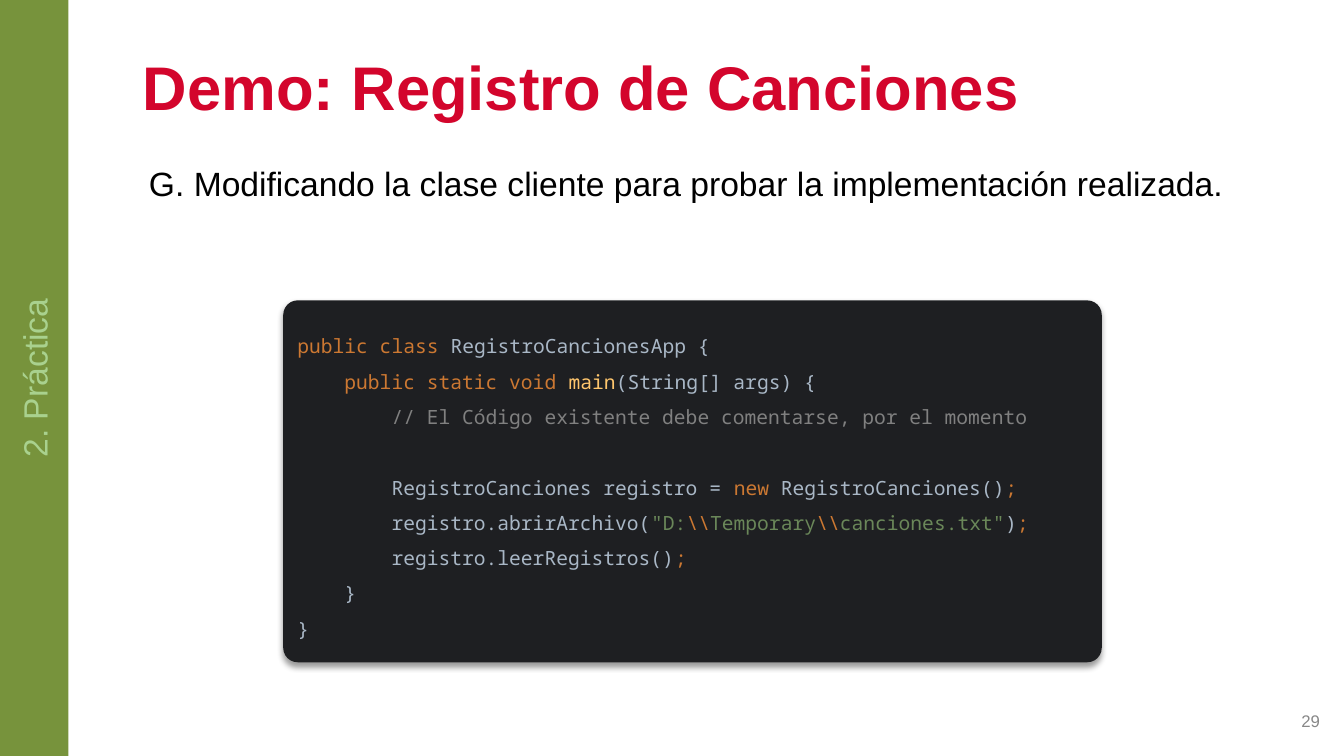
from copy import deepcopy

from lxml.etree import SubElement
from pptx import Presentation
from pptx.dml.color import RGBColor
from pptx.enum.shapes import MSO_SHAPE as Shape
from pptx.enum.text import MSO_ANCHOR as Anchor, PP_ALIGN as Align
from pptx.oxml.ns import qn
from pptx.util import Inches, Pt

COLORS = {
    "title": "D3052C", "body": "000000", "number": "888888",
    "band": "77933C", "band_text": "A9D18E", "panel": "1E1F22", "shadow": "000000",
    "keyword": "CC7832", "plain": "A9B7C6", "method": "FFC66D",
    "comment": "808080", "string": "6A8759",
}
CELL = Inches(0.1)  # one column or row of the layout grid
COLUMNS, ROWS = 133.33, 75

CODE = [
    [("keyword", "public class "), ("plain", "RegistroCancionesApp {")],
    [("keyword", "    public static void "), ("method", "main"), ("plain", "(String[] args) {")],
    [("comment", "        // El Código existente debe comentarse, por el momento")],
    [],
    [("plain", "        RegistroCanciones registro = "), ("keyword", "new "),
     ("plain", "RegistroCanciones()"), ("keyword", ";")],
    [("plain", "        registro.abrirArchivo("), ("string", '"D:'), ("keyword", "\\\\"),
     ("string", "Temporary"), ("keyword", "\\\\"), ("string", 'canciones.txt"'),
     ("plain", ")"), ("keyword", ";")],
    [("plain", "        registro.leerRegistros()"), ("keyword", ";")],
    [("plain", "    }")],
    [("plain", "}")],
]


def on_grid(box):
    return [round(cells * CELL) for cells in box]


def add_run(paragraph, text, size, color, font="Arial", bold=False):
    run = paragraph.add_run()
    run.text = text
    run.font.size, run.font.name, run.font.bold = Pt(size), font, bold
    run.font.color.rgb = RGBColor.from_string(COLORS[color])
    return run


def add_panel(slide, preset, box, fill):
    panel = slide.shapes.add_shape(preset, *on_grid(box))
    panel.shadow.inherit = False
    panel.fill.solid()
    panel.fill.fore_color.rgb = RGBColor.from_string(COLORS[fill])
    panel.line.fill.background()
    panel.text_frame.vertical_anchor = Anchor.MIDDLE
    return panel


def add_text(slide, box, text, size, color, anchor=Anchor.MIDDLE, align=Align.LEFT, bold=False):
    frame = slide.shapes.add_textbox(*on_grid(box)).text_frame
    frame.word_wrap = True
    frame.vertical_anchor = anchor
    paragraph = frame.paragraphs[0]
    paragraph.alignment = align
    add_run(paragraph, text, size, color, bold=bold)
    return paragraph


def add_section_band(slide, box, label):
    band = add_panel(slide, Shape.RECTANGLE, box, "band")
    band.text_frame._txBody.bodyPr.set("vert", "vert270")
    paragraph = band.text_frame.paragraphs[0]
    paragraph.alignment = Align.CENTER
    add_run(paragraph, label, 24, "band_text")


def add_soft_shadow(panel):
    effects = panel._element.spPr.find(qn("a:effectLst"))
    shadow = SubElement(effects, qn("a:outerShdw"), blurRad=str(Pt(4)), dist=str(Pt(3)),
                        dir="5400000", algn="t", rotWithShape="0")
    color = SubElement(shadow, qn("a:srgbClr"), val=COLORS["shadow"])
    SubElement(color, qn("a:alpha"), val="40000")


def add_code_panel(slide, box, lines):
    panel = add_panel(slide, Shape.ROUNDED_RECTANGLE, box, "panel")
    panel.adjustments[0] = 0.04
    add_soft_shadow(panel)
    panel.text_frame.word_wrap = True
    paragraph = panel.text_frame.paragraphs[0]
    paragraph.alignment = Align.LEFT
    paragraph.line_spacing = 1.5
    for number, line in enumerate(lines):
        if number:
            # A line break takes the size and font of the run before it
            line_break = paragraph._p.add_br()
            line_break.append(deepcopy(token._r.rPr))
        for color, text in line:
            token = add_run(paragraph, text, 14, color, "Noto Sans Mono")


def add_demo_slide(deck):
    slide = deck.slides.add_slide(deck.slide_layouts[6])

    # Heading and introduction share the left margin
    margin = 13.2
    title = add_text(slide, (margin, 4.7, 111, 8.6), "Demo: Registro de Canciones",
                     44, "title", bold=True)
    title.line_spacing = 0.9
    intro = add_text(slide, (margin, 15.7, 114.7, 52.3),
                     "G. Modificando la clase cliente para probar la implementación realizada.",
                     24, "body", Anchor.TOP)
    intro._p.get_or_add_pPr().set("marL", str(Inches(0.06)))

    # Code listing
    add_code_panel(slide, (28.1, 29.8, 81.2, 35.9), CODE)

    # Section band and slide number
    add_section_band(slide, (0, 0, 6.8, ROWS), "2. Práctica")
    add_text(slide, (COLUMNS - 31.4, 69.5, 30, 4), "29", 12, "number", align=Align.RIGHT)


def main():
    deck = Presentation()
    deck.slide_width, deck.slide_height = on_grid((COLUMNS, ROWS))
    add_demo_slide(deck)
    deck.save("out.pptx")


if __name__ == "__main__":
    main()
